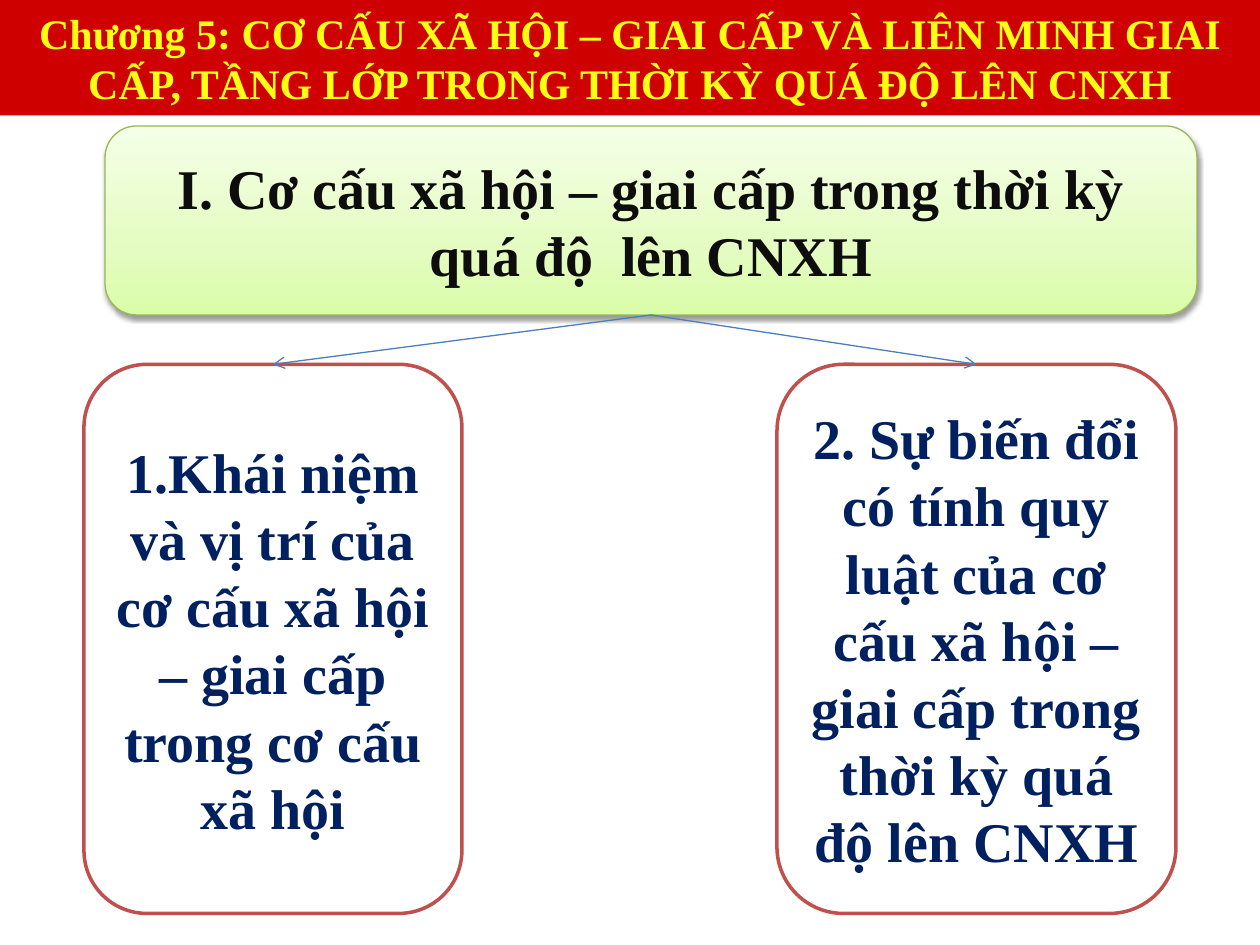
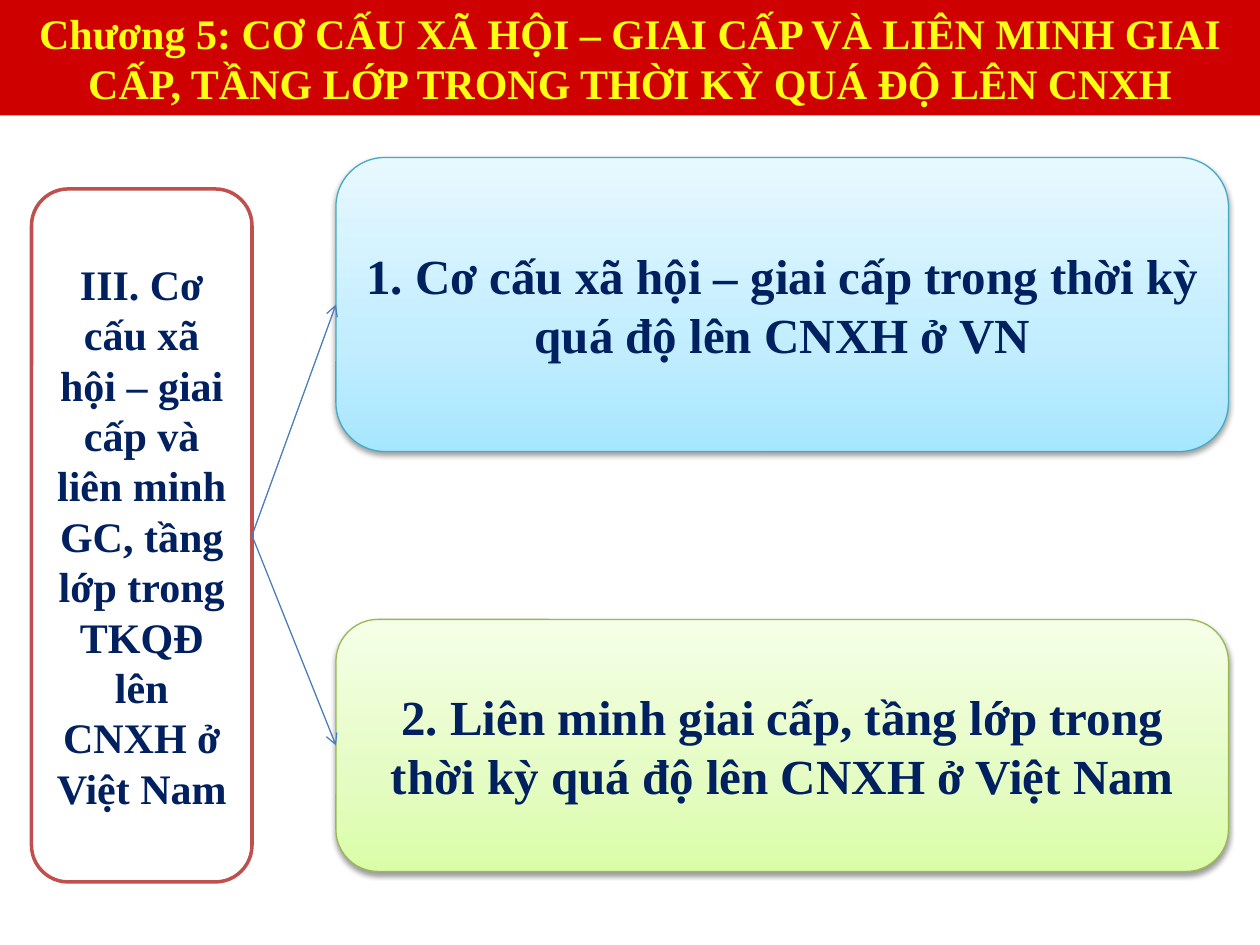
from dataclasses import dataclass

from lxml import etree
from pptx import Presentation
from pptx import util as u
from pptx.dml.color import RGBColor
from pptx.enum import shapes, text
from pptx.oxml import parse_xml
from pptx.oxml.ns import qn

EMU_PER_PX = 7620
FONT = "Times New Roman"
DRAWING_NS = "http://schemas.openxmlformats.org/drawingml/2006/main"
COLORS = {
    "band": "CE0000",
    "title": "FFFF13",
    "white": "FFFFFF",
    "red": "C0504D",
    "navy": "002060",
    "ink": "0D0D0D",
    "green": "98B955",
    "blue": "46AAC5",
    "arrow": "4B7EBC",
    "shadow": "000000",
}
GRADIENTS = {
    "green": ("DAFDA7", "E4FCC2", "F5FFE7"),
    "blue": ("A7E6FF", "C1EDFF", "E7F8FF"),
}
STOPS = (0, 35, 100)
TOP, LEFT, BOTTOM, RIGHT = range(4)
CHAPTER = (
    "Chương 5: CƠ CẤU XÃ HỘI – GIAI CẤP VÀ LIÊN MINH GIAI CẤP, "
    "TẦNG LỚP TRONG THỜI KỲ QUÁ ĐỘ LÊN CNXH"
)


@dataclass(frozen=True)
class Card:
    left: int
    top: int
    width: int
    height: int
    lines: tuple[str, ...]
    size: int
    border: str = "red"
    ink: str = "navy"


@dataclass(frozen=True)
class Branching:
    root: Card
    branches: tuple[Card, ...]
    start_site: int
    end_site: int


SLIDES = (
    Branching(
        Card(100, 120, 1040, 180,
             ("I. Cơ cấu xã hội – giai cấp trong thời kỳ", "quá độ  lên CNXH"),
             32, "green", "ink"),
        (
            Card(80, 347, 360, 523,
                 ("1.Khái niệm và vị trí của cơ cấu xã hội – giai cấp "
                  "trong cơ cấu xã hội",), 32),
            Card(740, 347, 380, 523,
                 ("2. Sự biến đổi có tính quy luật của cơ cấu xã hội – "
                  "giai cấp trong thời kỳ quá độ lên CNXH",), 32),
        ),
        BOTTOM, TOP,
    ),
    Branching(
        Card(30, 180, 210, 660,
             ("III. Cơ cấu xã hội – giai cấp và liên minh GC, tầng lớp "
              "trong TKQĐ lên CNXH ở Việt Nam",), 24),
        (
            Card(320, 150, 850, 280,
                 ("1. Cơ cấu xã hội – giai cấp trong thời kỳ quá độ "
                  "lên CNXH ở VN",), 28, "blue"),
            Card(320, 590, 850, 240,
                 ("2. Liên minh giai cấp, tầng lớp trong thời kỳ quá độ "
                  "lên CNXH ở Việt Nam",), 28, "green"),
        ),
        RIGHT, LEFT,
    ),
)


def px(length: int) -> u.Emu:
    return u.Emu(length * EMU_PER_PX)


def color(name: str) -> RGBColor:
    return RGBColor.from_string(COLORS[name])


def write(frame, lines: tuple[str, ...], size: int, ink: str) -> None:
    frame.word_wrap = True
    frame.auto_size = text.MSO_AUTO_SIZE.NONE
    frame.vertical_anchor = text.MSO_ANCHOR.MIDDLE
    frame.text = "\n".join(lines)
    for para in frame.paragraphs:
        para.alignment = text.PP_ALIGN.CENTER
        para.font.name = FONT
        para.font.size = u.Pt(size)
        para.font.bold = True
        para.font.color.rgb = color(ink)


def add_gradient(box, hues: tuple[str, ...]) -> None:
    stops = "".join(
        f'<a:gs pos="{stop * 1000}"><a:srgbClr val="{hue}"/></a:gs>'
        for stop, hue in zip(STOPS, hues)
    )
    gradient = parse_xml(
        f'<a:gradFill xmlns:a="{DRAWING_NS}" rotWithShape="1">'
        f'<a:gsLst>{stops}</a:gsLst><a:lin ang="16200000" scaled="0"/></a:gradFill>'
    )
    box._element.spPr.find(qn("a:prstGeom")).addnext(gradient)


def add_shadow(box) -> None:
    effects = box._element.spPr.find(qn("a:effectLst"))
    effects.append(parse_xml(
        f'<a:outerShdw xmlns:a="{DRAWING_NS}" blurRad="{u.Pt(3.1)}" '
        f'dist="{u.Pt(1.6)}" dir="5400000" rotWithShape="0">'
        f'<a:srgbClr val="{COLORS["shadow"]}"><a:alpha val="38000"/></a:srgbClr>'
        "</a:outerShdw>"
    ))


def add_card(page, card: Card):
    box = page.shapes.add_shape(
        shapes.MSO_SHAPE.ROUNDED_RECTANGLE,
        px(card.left), px(card.top), px(card.width), px(card.height),
    )
    box.shadow.inherit = False
    box.line.color.rgb = color(card.border)
    if card.border in GRADIENTS:
        box.line.width = u.Pt(0.75)
        add_gradient(box, GRADIENTS[card.border])
        add_shadow(box)
    else:
        box.line.width = u.Pt(2)
        box.fill.solid()
        box.fill.fore_color.rgb = color("white")
    write(box.text_frame, card.lines, card.size, card.ink)
    return box


def add_arrow(page, start, start_site: int, end, end_site: int) -> None:
    arrow = page.shapes.add_connector(shapes.MSO_CONNECTOR.STRAIGHT, 0, 0, 0, 0)
    arrow.begin_connect(start, start_site)
    arrow.end_connect(end, end_site)
    arrow.line.color.rgb = color("arrow")
    arrow.line.width = u.Pt(0.75)
    etree.SubElement(arrow.line._get_or_add_ln(), qn("a:tailEnd"), type="arrow")
    etree.SubElement(arrow._element.spPr, qn("a:effectLst"))


def add_title(page) -> None:
    title = page.shapes.title
    title.left, title.top, title.width, title.height = (
        px(side) for side in (0, 0, 1200, 110)
    )
    title.fill.solid()
    title.fill.fore_color.rgb = color("band")
    frame = title.text_frame
    frame.margin_left = frame.margin_right = px(12)
    frame.margin_top = frame.margin_bottom = 0
    write(frame, (CHAPTER,), 24, "title")


def add_branching(deck, diagram: Branching) -> None:
    page = deck.slides.add_slide(deck.slide_layouts.get_by_name("Title Only"))
    add_title(page)
    root = add_card(page, diagram.root)
    for card in diagram.branches:
        branch = add_card(page, card)
        add_arrow(page, root, diagram.start_site, branch, diagram.end_site)


def main() -> None:
    deck = Presentation()
    deck.slide_width, deck.slide_height = px(1200), px(900)
    for diagram in SLIDES:
        add_branching(deck, diagram)
    deck.save("out.pptx")


if __name__ == "__main__":
    main()
